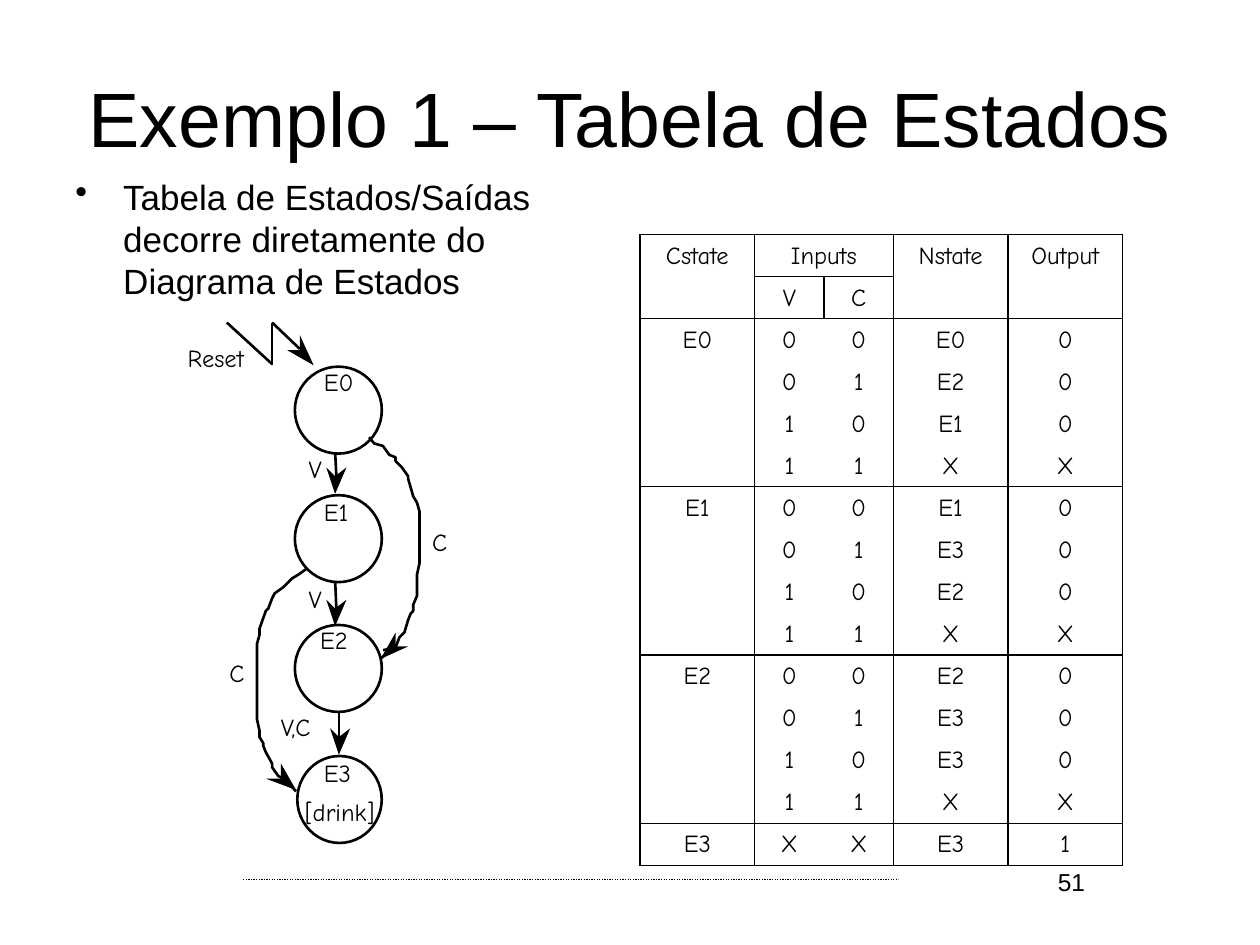
import dataclasses

import lxml.etree
import pptx
import pptx.dml.color
import pptx.enum.dml
import pptx.enum.shapes
import pptx.enum.text
import pptx.oxml.ns
import pptx.util

ALIGN = pptx.enum.text.PP_ALIGN
ANCHOR = pptx.enum.text.MSO_ANCHOR
COLUMNS, ROWS = 100, 75
CELL = pptx.util.Inches(0.1)


@dataclasses.dataclass(frozen=True)
class Theme:
    ink: pptx.dml.color.RGBColor = pptx.dml.color.RGBColor(0, 0, 0)
    paper: pptx.dml.color.RGBColor = pptx.dml.color.RGBColor(255, 255, 255)
    sans: str = "Arial"
    hand: str = "Comic Neue"
    title: int = 44
    body: int = 20
    small: int = 14
    stroke: float = 1.5
    rule: float = 0.75
    border: int = 1


THEME = Theme()

STATE_CIRCLES = [(23.4, 29.1, 6.9), (23.4, 39.3, 6.9), (23.4, 49.6, 6.9), (23.6, 60, 6.7)]
LINES = [
    (18, 25.6, 21.6, 28.9), (21.6, 29, 21.6, 25.6), (21.6, 25.6, 23.8, 27.7),
    (26.6, 35.9, 26.7, 37.8), (26.6, 46.1, 26.7, 48.3), (26.9, 56.6, 26.9, 58.5),
    (30.4, 51.6, 31.4, 51.4), (22.7, 62.1, 22.3, 61.9),
]
DOWN_TIPS = [(26.6, 39.2), (26.6, 49.7), (26.9, 59.9)]
DOWN_HEAD = [(0, 0), (-0.7, -2.1), (0, -1.4), (0.9, -2.1)]
SLANTED_HEADS = [
    [(24.9, 29), (22.8, 27.8), (23.8, 27.8), (23.8, 26.6)],
    [(30.2, 52.3), (31.4, 50.2), (31.4, 51.3), (32.4, 51.3)],
    [(23.5, 62.7), (21.1, 61.8), (22.3, 61.8), (22.3, 60.6)],
]
CURVES = [
    [(29.3, 34.7), (29.7, 35.2), (30.4, 35.4), (30.9, 36.1), (31.4, 36.3), (31.4, 36.6),
     (31.9, 37.1), (32.4, 37.8), (32.4, 38), (32.8, 39.4), (33.1, 39.9), (33.3, 40.6),
     (33.3, 44.7), (33.1, 45.6), (33.1, 47.3), (32.8, 48), (32.8, 48.5), (32.6, 48.7),
     (32.4, 49.2), (32.1, 50.2), (31.7, 50.6), (31.4, 51.4), (31.2, 51.4), (30.2, 52.3)],
    [(24.4, 45.1), (23.7, 45.6), (23.2, 45.9), (22.5, 46.6), (21.8, 47.1), (21.6, 47.5),
     (21.3, 48.3), (21.1, 48.5), (20.6, 49.9), (20.6, 50.4), (20.4, 51.1), (20.4, 57.1),
     (20.6, 58), (20.6, 58.5), (20.9, 59), (20.9, 59.2), (21.1, 59.7), (21.6, 60.6),
     (21.6, 60.9), (22.1, 61.6), (22.5, 61.8), (23.2, 62.5), (23.5, 62.8)],
]
LABELS = [
    ("Reset", 14.9, 27.5, 5.3), ("V", 24.5, 36.3, 1.3), ("V", 24.5, 46.6, 1.3),
    ("V,C", 22.3, 56.8, 3), ("[drink]", 24.2, 63.5, 6.2), ("E3", 25.7, 60.4, 2.4),
    ("E0", 25.7, 29.4, 2.4), ("E1", 25.7, 39.7, 2.7), ("E2", 25.4, 49.9, 2.4),
    ("C", 34.3, 42.1, 1.2), ("C", 18.2, 52.5, 1.2),
]

TABLE_COLUMNS = [9.1, 5.5, 5.5, 9.1, 9.1]
HEADER = [["Cstate", "Inputs", "", "Nstate", "Output"], ["", "V", "C", "", ""]]
NEXT_STATES = {
    "E0": ["E0", "E2", "E1", "X"],
    "E1": ["E1", "E3", "E2", "X"],
    "E2": ["E2", "E3", "E3", "X"],
}
GROUP_STARTS = (0, 2, 6, 10, 14, 15)


def cells(*counts):
    """Turn grid counts into slide lengths."""
    return [pptx.util.Emu(round(n * CELL)) for n in counts]


def format_text(p, size, font, align=ALIGN.LEFT):
    p.alignment = align
    for r in p.runs:
        r.font.size = pptx.util.Pt(size)
        r.font.name = font
        r.font.color.rgb = THEME.ink


def add_text(shapes, text, box, size, font, align=ALIGN.LEFT, anchor=ANCHOR.TOP):
    tf = shapes.add_textbox(*cells(*box)).text_frame
    tf.word_wrap = True
    tf.vertical_anchor = anchor
    tf.text = text
    format_text(tf.paragraphs[0], size, font, align)
    return tf


def add_bullet(shapes, text, box):
    p = add_text(shapes, text, box, THEME.body, THEME.sans).paragraphs[0]
    p.space_before = pptx.util.Pt(0.2 * THEME.body)
    pPr = p._p.get_or_add_pPr()
    indent = cells(3.8)[0]
    pPr.set("marL", str(indent))
    pPr.set("indent", str(-indent))
    lxml.etree.SubElement(pPr, pptx.oxml.ns.qn("a:buChar")).set("char", "•")


def add_label(shapes, text, left, top, width):
    tf = add_text(shapes, text, (left, top, width, 2.1), THEME.small, THEME.hand)
    tf.margin_left = tf.margin_right = tf.margin_top = tf.margin_bottom = 0
    tf.word_wrap = False
    tf.paragraphs[0].line_spacing = 0.9


def add_line(shapes, ends, width=THEME.stroke):
    line = shapes.add_connector(pptx.enum.shapes.MSO_CONNECTOR.STRAIGHT, *cells(*ends))
    line.line.color.rgb = THEME.ink
    line.line.width = pptx.util.Pt(width)
    lxml.etree.SubElement(line._element.spPr, pptx.oxml.ns.qn("a:effectLst"))
    return line


def add_circle(shapes, left, top, width):
    sp = shapes.add_shape(pptx.enum.shapes.MSO_SHAPE.OVAL, *cells(left, top, width, 6.9))
    sp.shadow.inherit = False
    sp.fill.solid()
    sp.fill.fore_color.rgb = THEME.paper
    sp.line.color.rgb = THEME.ink
    sp.line.width = pptx.util.Pt(THEME.stroke)


def add_outline(shapes, points, head=False):
    """Draw a filled arrowhead, or else an open curve."""
    start, *rest = [cells(*point) for point in points]
    builder = shapes.build_freeform(*start)
    builder.add_line_segments(rest, close=head)
    sp = builder.convert_to_shape()
    sp.shadow.inherit = False
    if head:
        sp.fill.solid()
        sp.fill.fore_color.rgb = THEME.ink
        sp.line.fill.background()
    else:
        sp.fill.background()
        sp.line.color.rgb = THEME.ink
        sp.line.width = pptx.util.Pt(THEME.stroke)


def add_diagram(shapes):
    for circle in STATE_CIRCLES:
        add_circle(shapes, *circle)
    for ends in LINES:
        add_line(shapes, ends)
    down_heads = [[(x + dx, y + dy) for dx, dy in DOWN_HEAD] for x, y in DOWN_TIPS]
    for head in SLANTED_HEADS + down_heads:
        add_outline(shapes, head, head=True)
    for curve in CURVES:
        add_outline(shapes, curve)
    for label in LABELS:
        add_label(shapes, *label)


def state_rows():
    rows = list(HEADER)
    for state, successors in NEXT_STATES.items():
        for i, successor in enumerate(successors):
            output = "X" if successor == "X" else "0"
            rows.append(["" if i else state, str(i // 2), str(i % 2), successor, output])
    return rows + [["E3", "X", "X", "E3", "1"]]


def set_borders(cell, row, col):
    """Rule off each state and column, keeping the two inputs together."""
    sides = {
        "lnL": col != 2 or row == 1,
        "lnR": col != 1 or row == 1,
        "lnT": row in GROUP_STARTS or (row == 1 and col in (1, 2)),
        "lnB": row + 1 in GROUP_STARTS or (row == 0 and col in (1, 2)),
    }
    qn = pptx.oxml.ns.qn
    tcPr = cell._tc.get_or_add_tcPr()
    for side, ruled in sides.items():
        ln = lxml.etree.SubElement(tcPr, qn("a:" + side))
        ln.set("w", str(pptx.util.Pt(THEME.border)))
        fill = lxml.etree.SubElement(ln, qn("a:solidFill" if ruled else "a:noFill"))
        if ruled:
            lxml.etree.SubElement(fill, qn("a:srgbClr")).set("val", str(THEME.ink))


def add_state_table(shapes, left, top, height):
    rows = state_rows()
    frame = shapes.add_table(len(rows), len(TABLE_COLUMNS),
                             *cells(left, top, sum(TABLE_COLUMNS), height))
    table = frame.table
    table.first_row = table.horz_banding = False
    for column, width in zip(table.columns, cells(*TABLE_COLUMNS)):
        column.width = width
    for i, row in enumerate(rows):
        for j, text in enumerate(row):
            cell = table.cell(i, j)
            cell.text = text
            cell.vertical_anchor = ANCHOR.BOTTOM
            p = cell.text_frame.paragraphs[0]
            format_text(p, THEME.small, THEME.hand, ALIGN.CENTER)
            p._p.get_or_add_endParaRPr().set("sz", str(THEME.small * 100))
            set_borders(cell, i, j)
            cell.fill.background()
    table.cell(0, 1).merge(table.cell(0, 2))


def main():
    prs = pptx.Presentation()
    prs.slide_width, prs.slide_height = cells(COLUMNS, ROWS)
    s = prs.slides.add_slide(prs.slide_layouts[6])
    rule = add_line(s.shapes, (19.3, 69.8, 71.3, 69.8), THEME.rule)
    rule.line.dash_style = pptx.enum.dml.MSO_LINE.ROUND_DOT
    add_text(s.shapes, "Exemplo 1 – Tabela de Estados", (5, 3, 90, 12.5),
             THEME.title, THEME.sans, ALIGN.CENTER, ANCHOR.MIDDLE)
    add_bullet(s.shapes, "Tabela de Estados/Saídas decorre diretamente do Diagrama de Estados",
               (5, 13.4, 40.3, 49.5))
    add_diagram(s.shapes.add_group_shape().shapes)
    add_state_table(s.shapes, 50.8, 18.6, 50)
    add_text(s.shapes, "51", (75.2, 68.3, 11.9, 5.2), THEME.small, THEME.sans, ALIGN.RIGHT)
    prs.save("out.pptx")


if __name__ == "__main__":
    main()
